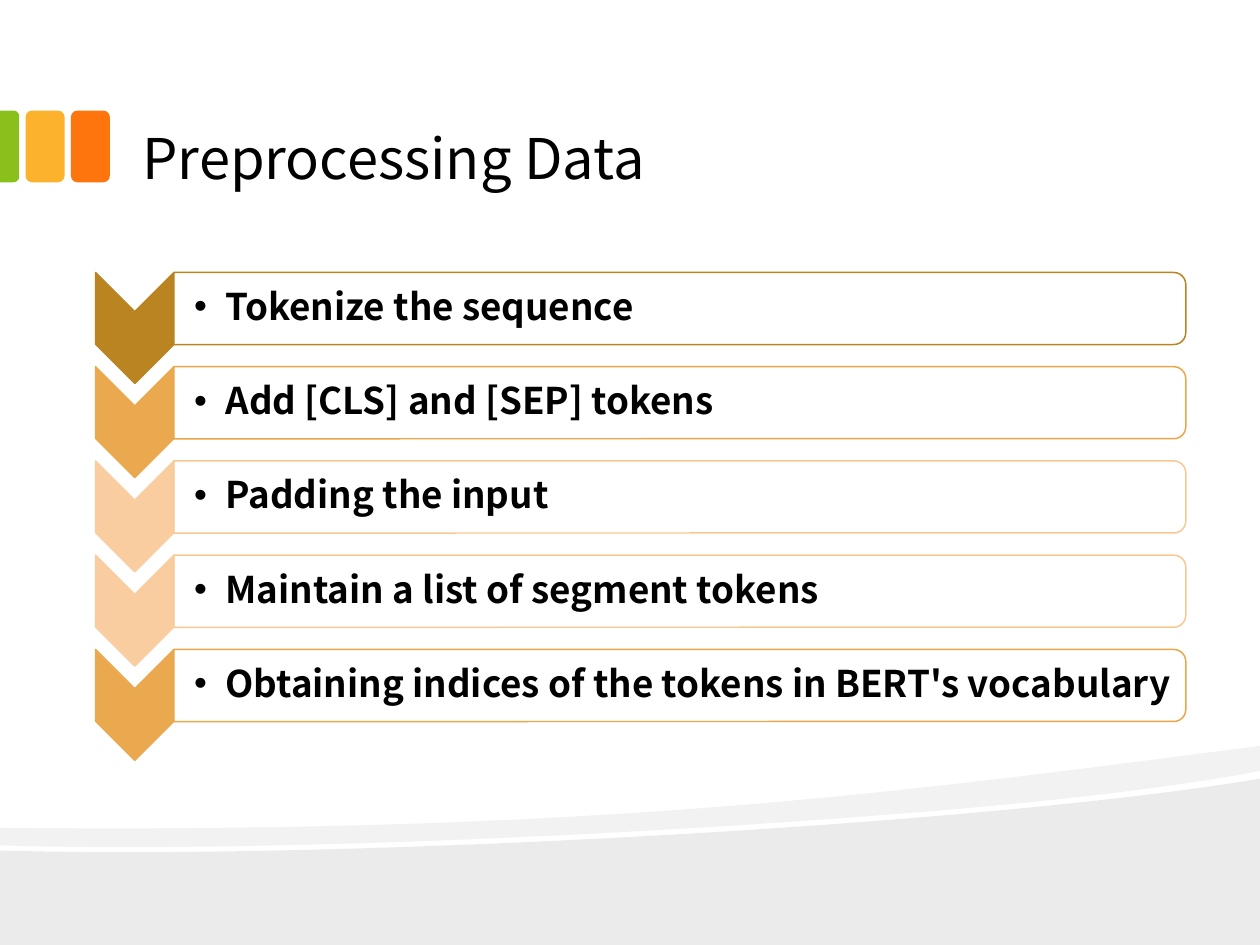
from lxml.etree import SubElement as Sub
from pptx import Presentation
from pptx.dml.color import RGBColor as Rgb
from pptx.enum.shapes import MSO_SHAPE as Kind
from pptx.enum.text import MSO_ANCHOR as Anchor, MSO_AUTO_SIZE as Auto, PP_ALIGN as Align
from pptx.oxml.ns import qn
from pptx.util import Pt

FONT = "Noto Sans CJK SC"
STEPS = [
    ("Tokenize the sequence", "BA8421", "BA8421"),
    ("Add [CLS] and [SEP] tokens", "EBA94F", "EAA749"),
    ("Padding the input", "F9CD9F", "F9C892"),
    ("Maintain a list of segment tokens", "F9CD9F", "F9C892"),
    ("Obtaining indices of the tokens in BERT's vocabulary", "EBA94F", "EAA749"),
]


def tint(color, value):
    color.rgb = Rgb.from_string(value)


def paint(shape, fill, line=None, alpha=100):
    shape.shadow.inherit = False
    shape.fill.solid()
    tint(shape.fill.fore_color, fill)
    if alpha < 100:
        node = shape.fill._xPr.find(qn("a:solidFill"))[0]
        Sub(node, qn("a:alpha")).set("val", str(alpha * 1000))
    if line:
        tint(shape.line.color, line)
        shape.line.width = Pt(0.85)
    else:
        shape.line.fill.background()


def turned(slide, kind, box):
    x, y, w, h = box
    shape = slide.shapes.add_shape(
        kind, Pt(x + (w - h) / 2), Pt(y + (h - w) / 2), Pt(h), Pt(w))
    shape.rotation = 90
    return shape


def style(para, size, bold=False):
    para.alignment = Align.LEFT
    font = para.font
    font.name, font.size, font.bold = FONT, Pt(size), bold
    tint(font.color, "000000")


def inset(frame, left, top, right, bottom):
    frame.margin_left, frame.margin_top = Pt(left), Pt(top)
    frame.margin_right, frame.margin_bottom = Pt(right), Pt(bottom)
    frame.word_wrap = True
    frame.auto_size = Auto.NONE


def wave(slide, start, parts, alpha):
    pen = slide.shapes.build_freeform(Pt(start[0]), Pt(start[1]))
    pen.add_line_segments([(Pt(x), Pt(y)) for part in parts for x, y in part])
    shape = pen.convert_to_shape()
    lines = iter(list(shape._element.iter(qn("a:lnTo"))))
    for part in parts:
        group = [next(lines) for _ in part]
        if len(group) == 3:
            bend = group[0]
            bend.tag = qn("a:cubicBezTo")
            for line in group[1:]:
                bend.append(line[0])
                line.getparent().remove(line)
    paint(shape, "000000", alpha=alpha)


def floor(slide, box):
    x, y, w, h = box
    right, base = x + w, y + h
    wave(slide, (right, y + 18.7), [
        [(right, base)], [(x, base)], [(x, y + 59.8)],
        [(x + 190, y + 65.5), (x + 563, y + 45.4), (right, y + 18.7)],
    ], 8)
    wave(slide, (right, y), [
        [(right, y + 14.4)],
        [(x + 678, y + 22.3), (x + 621, y + 29.5), (x + 556, y + 35.3)],
        [(x + 377, y + 51.1), (x + 139, y + 61.2), (x, y + 56.9)],
        [(x, y + 46.8)],
        [(x + 352, y + 50.4), (x + 524, y + 25.2), (right, y)],
    ], 5)


def tabs(slide, box):
    x, y, w, h = box
    wide, step = 22.3, 25.9
    last = x + w - wide
    for left, fill in ((last, "FE750E"), (last - step, "FCB22C")):
        tab = slide.shapes.add_shape(Kind.ROUNDED_RECTANGLE, Pt(left), Pt(y), Pt(wide), Pt(h))
        paint(tab, fill)
    edge = turned(slide, Kind.ROUND_2_SAME_RECTANGLE, (x, y, 11, h))
    edge.adjustments[0] = 0.29
    paint(edge, "89C01C")


def head(slide, box):
    title = slide.shapes.title
    title.left, title.top, title.width, title.height = map(Pt, box)
    frame = title.text_frame
    frame.text = "Preprocessing Data"
    inset(frame, 9.4, 5, 9.4, 5.4)
    frame.vertical_anchor = Anchor.BOTTOM
    style(frame.paragraphs[0], 32)


def label(slide, box, text):
    frame = slide.shapes.add_textbox(*map(Pt, box)).text_frame
    frame.text = text
    inset(frame, 11.5, 1, 1, 1)
    frame.vertical_anchor = Anchor.MIDDLE
    para = frame.paragraphs[0]
    style(para, 21, True)
    para.line_spacing = 0.9
    props = para._p.get_or_add_pPr()
    props.set("marL", str(Pt(18)))
    props.set("indent", str(Pt(-18)))
    Sub(props, qn("a:buFont")).set("typeface", "Arial")
    Sub(props, qn("a:buChar")).set("char", "•")
    props.append(props.find(qn("a:defRPr")))


def steps(slide, box):
    x, y, w, h = box
    wide, tall, bar = 44.8, 63.4, 41.2
    pitch = (h - tall) / (len(STEPS) - 1)
    for i, (text, fill, line) in enumerate(STEPS):
        top = y + i * pitch
        paint(turned(slide, Kind.CHEVRON, (x, top, wide, tall)), fill, fill)
        area = x + wide, top, w - wide, bar
        paint(turned(slide, Kind.ROUND_2_SAME_RECTANGLE, area), "FFFFFF", line, 90)
        label(slide, (x + wide, top + 2, w - wide - 1, bar - 4), text)


def main():
    deck = Presentation()
    deck.slide_width, deck.slide_height = Pt(720), Pt(540)
    slide = deck.slides.add_slide(deck.slide_layouts[5])
    floor(slide, (0, 426.2, 720, 113.8))
    tabs(slide, (0, 63.2, 62.8, 41))
    head(slide, (72, 12.2, 576, 102.2))
    steps(slide, (54.6, 155.7, 623, 278.8))
    deck.save("out.pptx")


if __name__ == "__main__":
    main()
